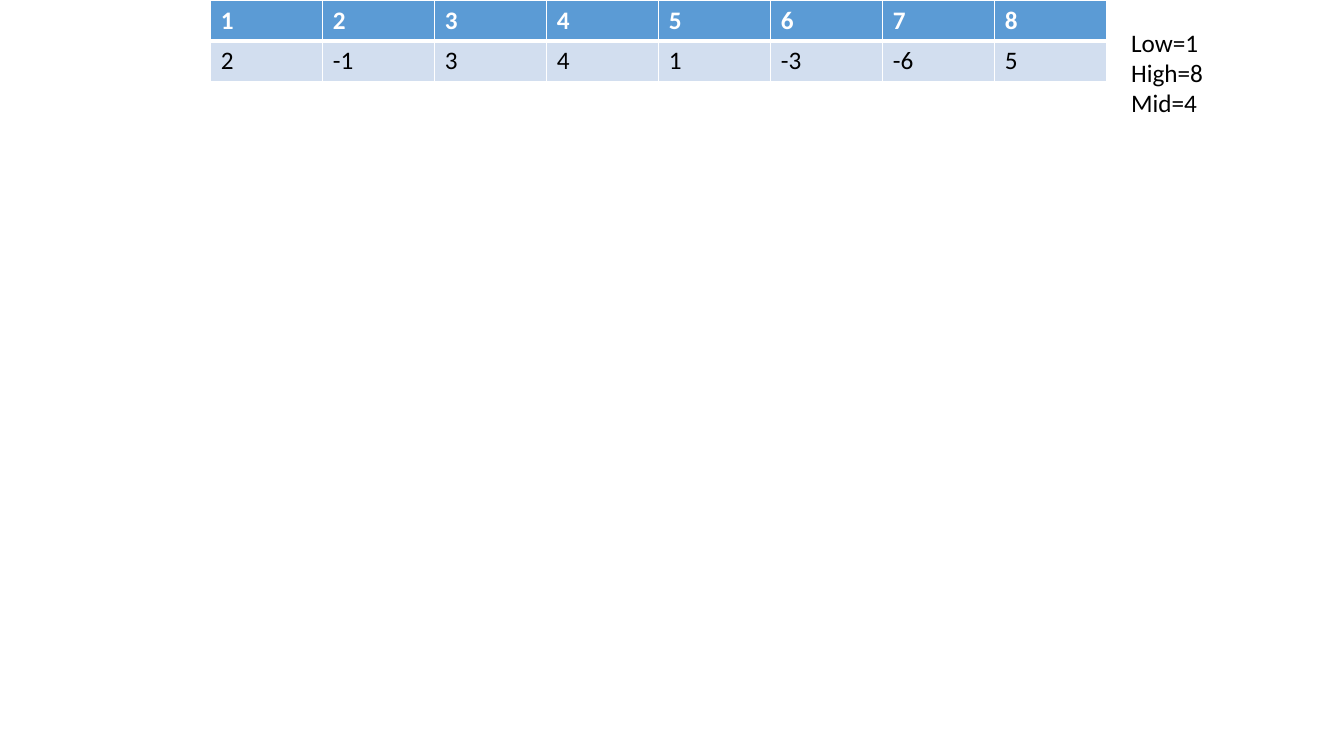
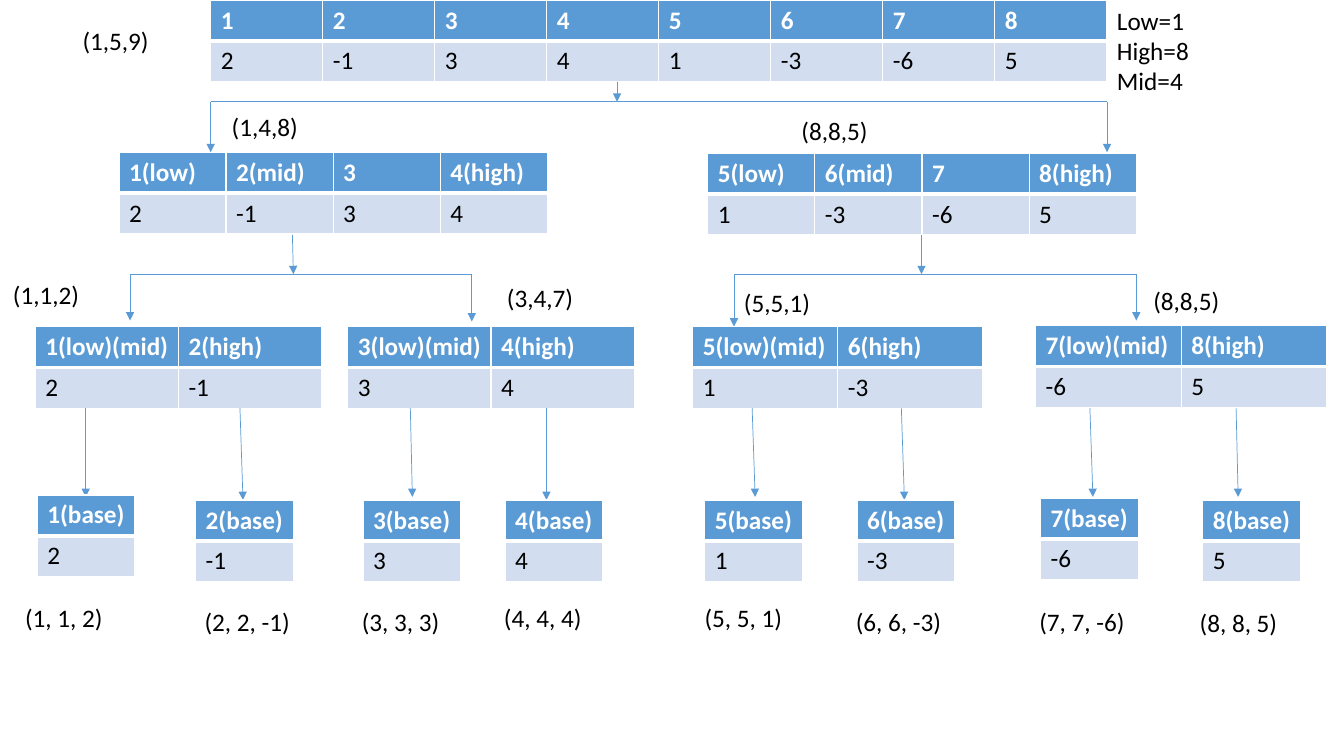
from lxml import etree
from pptx import Presentation
from pptx.dml.color import RGBColor
from pptx.enum.shapes import MSO_CONNECTOR
from pptx.enum.text import MSO_AUTO_SIZE
from pptx.oxml.ns import qn
from pptx.util import Inches, Pt

FONT = "Calibri"
BLUE, PALE, WHITE, BLACK = "5B9BD5", "D2DEEF", "FFFFFF", "000000"
VALUES = (2, -1, 3, 4, 1, -3, -6, 5)
ROW_HEIGHT = 0.405
BOUNDS = ("Low=1", "High=8", "Mid=4")

HALVES = ((1, 4, 1.18, 1.51, 4.25), (5, 8, 7.02, 1.52, 4.25))
PAIRS = (
    (1, 2, 0.35, 3.24, 2.84),
    (3, 4, 3.45, 3.24, 2.84),
    (5, 6, 6.87, 3.24, 2.88),
    (7, 8, 10.27, 3.23, 2.89),
)
BASES = (
    (0.37, 4.91), (1.94, 4.96), (3.6, 4.96), (5.01, 4.96),
    (6.99, 4.96), (8.5, 4.96), (10.32, 4.94), (11.93, 4.96),
)
BRANCHES = (
    ((6.12, 0.81), (6.12, 1.01), (2.09, 1.51), (10.98, 1.51)),
    ((2.9, 2.33), (2.91, 2.72), (1.29, 3.18), (4.68, 3.19)),
    ((9.14, 2.33), (9.14, 2.72), (7.28, 3.24), (11.27, 3.18)),
)
BASE_ARROWS = (
    (0.85, 0.85, 4.93), (2.38, 2.41, 4.96), (4.07, 4.09, 4.93), (5.42, 5.42, 4.96),
    (7.46, 7.49, 4.93), (8.94, 8.97, 4.96), (10.81, 10.84, 4.93), (12.26, 12.28, 4.93),
)
BASE_RESULTS = (
    (0.15, 5.93), (1.93, 5.97), (3.49, 5.97), (4.9, 5.93),
    (6.89, 5.93), (8.39, 5.97), (10.21, 5.97), (11.8, 5.98),
)
MERGED_RESULTS = (
    ("(1,1,2)", 0.03, 2.72),
    ("(3,4,7)", 4.93, 2.75),
    ("(5,5,1)", 7.28, 2.8),
    ("(8,8,5)", 11.34, 2.78),
    ("(1,4,8)", 2.2, 1.06),
    ("(8,8,5)", 7.85, 1.09),
    ("(1,5,9)", 0.72, 0.2),
)


def color(value):
    """Turn a hex string into a colour."""
    return RGBColor.from_string(value)


def style_text(frame, hue, bold=False):
    """Format every run of a text frame."""
    for para in frame.paragraphs:
        for span in para.runs:
            span.font.name = FONT
            span.font.size = Pt(18)
            span.font.bold = bold
            span.font.color.rgb = color(hue)


def add_text(page, lines, left, top, width, height=0.4):
    """Add a text box with one paragraph per line."""
    box = page.shapes.add_textbox(Inches(left), Inches(top), Inches(width), Inches(height))
    frame = box.text_frame
    frame.word_wrap = True
    frame.auto_size = MSO_AUTO_SIZE.SHAPE_TO_FIT_TEXT
    frame.text = "\n".join(lines)
    style_text(frame, BLACK)


def add_line(page, start, end, arrow=True):
    """Draw a thin line, with an arrowhead at its end if wanted."""
    ends = [Inches(length) for length in (*start, *end)]
    line = page.shapes.add_connector(MSO_CONNECTOR.STRAIGHT, *ends)
    line.line.color.rgb = color(BLUE)
    line.line.width = Pt(0.5)
    if arrow:
        etree.SubElement(line.line._get_or_add_ln(), qn("a:tailEnd"), type="triangle")
    etree.SubElement(line._element.spPr, qn("a:effectLst"))


def add_branch(page, stem, joint, left_tip, right_tip):
    """Draw a stem that splits into two arrows."""
    level = joint[1]
    corners = [(tip[0], level) for tip in (left_tip, right_tip)]
    add_line(page, stem, joint)
    add_line(page, *corners, arrow=False)
    for corner, tip in zip(corners, (left_tip, right_tip)):
        add_line(page, corner, tip)


def set_borders(cell, top, bottom):
    """Give a cell white borders, one point wide at the sides."""
    properties = cell._tc.get_or_add_tcPr()
    widths = {"a:lnL": 1, "a:lnR": 1, "a:lnT": top, "a:lnB": bottom}
    for position, (tag, width) in enumerate(widths.items()):
        border = etree.Element(qn(tag), w=str(Pt(width)))
        fill = etree.SubElement(border, qn("a:solidFill"))
        etree.SubElement(fill, qn("a:srgbClr"), val=WHITE)
        properties.insert(position, border)


def fill_cell(cell, text, is_header):
    """Write and style one cell of an array."""
    cell.text_frame.text = str(text)
    cell.fill.solid()
    cell.fill.fore_color.rgb = color(BLUE if is_header else PALE)
    style_text(cell.text_frame, WHITE if is_header else BLACK, is_header)
    set_borders(cell, *((1, 3) if is_header else (3, 1)))


def index_label(index, low, high):
    """Name an index with its roles in the range."""
    if low == high:
        return f"{index}(base)"
    roles = (("low", low), ("mid", (low + high) // 2), ("high", high))
    return str(index) + "".join(f"({role})" for role, place in roles if place == index)


def add_array(page, low, high, left, top, width, with_roles=True):
    """Add the table of indexes and values from low to high."""
    indexes = range(low, high + 1)
    count = len(indexes)
    table = page.shapes.add_table(
        2, count, Inches(left), Inches(top), Inches(width), Inches(2 * ROW_HEIGHT)
    ).table
    table.horz_banding = False
    for row in table.rows:
        row.height = Inches(ROW_HEIGHT)
    for column, index in enumerate(indexes):
        table.columns[column].width = Inches(width / count)
        label = index_label(index, low, high) if with_roles else index
        fill_cell(table.cell(0, column), label, True)
        fill_cell(table.cell(1, column), VALUES[index - 1], False)


def add_problem_page(deck, bounds_left, bounds_top):
    """Add a slide with the whole array and its bounds."""
    page = deck.slides.add_slide(deck.slide_layouts[6])
    add_array(page, 1, 8, 2.09, 0, 8.89, with_roles=False)
    add_text(page, BOUNDS, bounds_left, bounds_top, 2.04, 1.01)
    return page


def add_recursion(page):
    """Draw the splits, the base cases and their results."""
    for branch in BRANCHES:
        add_branch(page, *branch)
    for part in HALVES + PAIRS:
        add_array(page, *part)
    for start, end, bottom in BASE_ARROWS:
        add_line(page, (start, 4.05), (end, bottom))
    for index, (left, top) in enumerate(BASES, 1):
        add_array(page, index, index, left, top, 0.97)
    for index, (left, top) in enumerate(BASE_RESULTS, 1):
        add_text(page, [f"({index}, {index}, {VALUES[index - 1]})"], left, top, 1.19)
    for result, left, top in MERGED_RESULTS:
        add_text(page, [result], left, top, 0.91)


def main():
    """Build the deck."""
    deck = Presentation()
    deck.slide_width, deck.slide_height = Inches(13.33), Inches(7.5)
    add_problem_page(deck, 11.12, 0.22)
    add_recursion(add_problem_page(deck, 10.98, 0))
    deck.save("out.pptx")


main()
